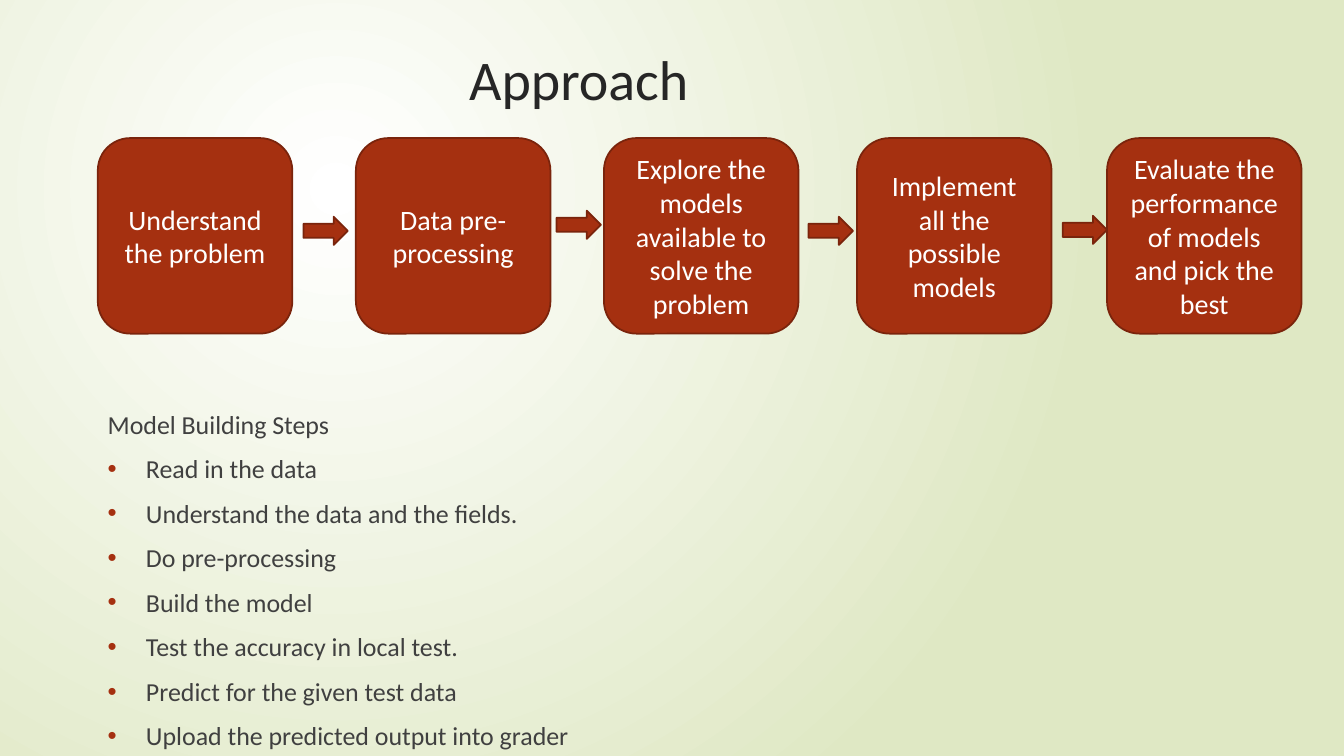
from dataclasses import dataclass

from pptx import Presentation
from pptx import util as u
from pptx.dml.color import RGBColor
from pptx.enum import shapes, text
from pptx.oxml import parse_xml
from pptx.oxml.ns import nsdecls, qn

COLUMNS, ROWS = 13.33, 7.5
WIDTH, HEIGHT = u.Inches(COLUMNS), u.Inches(ROWS)


@dataclass(frozen=True)
class Theme:
    """Colours, font and type sizes of the slide."""
    font: str = "Calibri"
    rust: str = "A53010"
    outline: str = "7A240C"
    white: str = "FFFFFF"
    sage: str = "DFE8C4"
    heading: str = "262626"
    body: str = "404040"
    title_size: float = 40
    stage_size: float = 20
    list_size: float = 18.5
    list_gap: float = 9.6
    outline_width: float = 1.25


THEME = Theme()
STAGE_TOP, STAGE_WIDTH, STAGE_HEIGHT = 1.37, 1.93, 1.94
ARROW_WIDTH, ARROW_HEIGHT = 0.44, 0.28
STAGES = [
    (0.97, "Understand the problem"),
    (3.53, "Data pre-processing"),
    (5.99, "Explore the models available to solve the problem"),
    (8.5, "Implement all the possible models"),
    (10.98, "Evaluate the performance of models and pick the best"),
]
ARROWS = [(3.01, 2.15), (5.52, 2.09), (8.02, 2.15), (10.54, 2.14)]
BUILD_HEADING = "Model Building Steps"
BUILD_STEPS = [
    "Read in the data",
    "Understand the data and the fields.",
    "Do pre-processing",
    "Build the model",
    "Test the accuracy in local test.",
    "Predict for the given test data",
    "Upload the predicted output into grader",
]


def area(column, row, columns, rows):
    """Turn grid columns and rows into left, top, width and height."""
    return (int(WIDTH * column / COLUMNS), int(HEIGHT * row / ROWS),
            int(WIDTH * columns / COLUMNS), int(HEIGHT * rows / ROWS))


def apply(target, **values):
    """Set each given attribute on the target."""
    for name, value in values.items():
        setattr(target, name, value)


def write(paragraph, wording, size, colour, **layout):
    """Put one styled run in a paragraph."""
    run = paragraph.add_run()
    run.text = wording
    apply(run.font, name=THEME.font, size=u.Pt(size))
    run.font.color.rgb = RGBColor.from_string(colour)
    apply(paragraph, **layout)


def paint_background(slide):
    """Fill the background with a circular gradient."""
    fill = slide.background.fill
    fill.gradient()
    for stop, colour in zip(fill.gradient_stops, (THEME.white, THEME.sage)):
        stop.color.rgb = RGBColor.from_string(colour)
    linear = next(slide.element.iter(qn("a:lin")))
    linear.getparent().replace(linear, parse_xml(
        f'<a:path {nsdecls("a")} path="circle">'
        '<a:fillToRect l="50000" t="50000" r="100000" b="100000"/></a:path>'))


def place_title(slide, wording):
    """Move and format the title placeholder."""
    title = slide.shapes.title
    apply(title, **dict(zip(("left", "top", "width", "height"), area(1.04, 0.3, 9.4, 0.95))))
    title.text_frame.vertical_anchor = text.MSO_ANCHOR.MIDDLE
    write(title.text_frame.paragraphs[0], wording, THEME.title_size, THEME.heading,
          alignment=text.PP_ALIGN.CENTER)


def add_block(slide, preset, box):
    """Add a rust shape with a dark outline."""
    block = slide.shapes.add_shape(preset, *box)
    block.shadow.inherit = False
    block.fill.solid()
    block.fill.fore_color.rgb = RGBColor.from_string(THEME.rust)
    block.line.color.rgb = RGBColor.from_string(THEME.outline)
    block.line.width = u.Pt(THEME.outline_width)
    return block


def add_stage(slide, left, wording):
    """Add one rounded stage of the approach."""
    stage = add_block(slide, shapes.MSO_SHAPE.ROUNDED_RECTANGLE,
                      area(left, STAGE_TOP, STAGE_WIDTH, STAGE_HEIGHT))
    apply(stage.text_frame, word_wrap=True, vertical_anchor=text.MSO_ANCHOR.MIDDLE)
    write(stage.text_frame.paragraphs[0], wording, THEME.stage_size, THEME.white,
          alignment=text.PP_ALIGN.CENTER)


def add_bullet(paragraph):
    """Give a paragraph a rust bullet and a hanging indent."""
    properties = paragraph._p.get_or_add_pPr()
    indent = u.Inches(0.38)
    properties.set("marL", str(indent))
    properties.set("indent", str(-indent))
    for markup in (f'<a:buClr {nsdecls("a")}><a:srgbClr val="{THEME.rust}"/></a:buClr>',
                   f'<a:buFont {nsdecls("a")} typeface="Arial"/>',
                   f'<a:buChar {nsdecls("a")} char="•"/>'):
        properties.append(parse_xml(markup))


def add_build_list(slide, heading, steps):
    """Add the heading and its bulleted steps."""
    frame = slide.shapes.add_textbox(*area(0.97, 4, 8.4, 3.3)).text_frame
    frame.word_wrap = True
    write(frame.paragraphs[0], heading, THEME.list_size, THEME.body)
    for step in steps:
        paragraph = frame.add_paragraph()
        write(paragraph, step, THEME.list_size, THEME.body, space_before=u.Pt(THEME.list_gap))
        add_bullet(paragraph)


def main():
    """Build and save the slide."""
    deck = Presentation()
    apply(deck, slide_width=WIDTH, slide_height=HEIGHT)
    slide = deck.slides.add_slide(deck.slide_layouts.get_by_name("Title Only"))
    paint_background(slide)
    place_title(slide, "Approach")
    add_build_list(slide, BUILD_HEADING, BUILD_STEPS)
    for left, wording in STAGES:
        add_stage(slide, left, wording)
    for left, top in ARROWS:
        add_block(slide, shapes.MSO_SHAPE.RIGHT_ARROW,
                  area(left, top, ARROW_WIDTH, ARROW_HEIGHT))
    deck.save("out.pptx")


if __name__ == "__main__":
    main()
